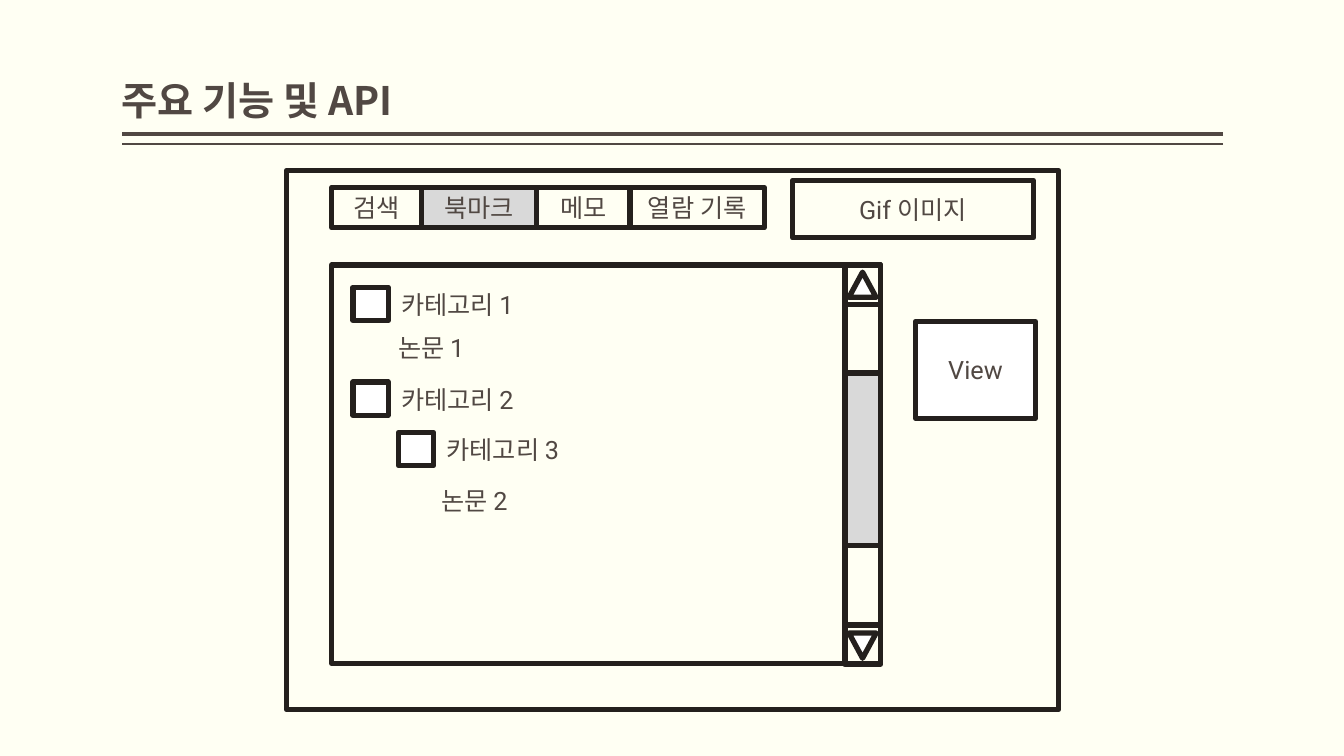
from dataclasses import dataclass
from typing import Optional

from lxml import etree
from pptx import Presentation
from pptx import util as u
from pptx.dml.color import RGBColor
from pptx.enum import shapes, text
from pptx.oxml import ns

CREAM = RGBColor(0xFF, 0xFF, 0xF3)
BROWN = RGBColor(0x51, 0x48, 0x43)
BLACK = RGBColor(0x24, 0x20, 0x1D)
GREY = RGBColor(0xD9, 0xD9, 0xD9)
WHITE = RGBColor(0xFF, 0xFF, 0xFF)

LATIN, HANGUL = "Roboto", "Noto Sans CJK KR"
RECT = shapes.MSO_SHAPE.RECTANGLE
ARROW = shapes.MSO_SHAPE.ISOSCELES_TRIANGLE


@dataclass
class Box:
    left: float
    top: float
    width: float
    height: float
    label: str = ""
    fill: Optional[RGBColor] = None
    kind: int = RECT
    turn: int = 0


@dataclass
class Tab:
    label: str
    width: float
    fill: Optional[RGBColor] = None


@dataclass
class Entry:
    label: str
    left: float
    top: float
    width: float
    boxed: bool = False


TABS = [Tab("검색", 0.89), Tab("북마크", 1.14, GREY),
        Tab("메모", 0.93), Tab("열람 기록", 1.33)]
TREE = [
    Entry("카테고리 1", 3.88, 2.82, 1.44, True),
    Entry("논문 1", 3.85, 3.25, 0.93),
    Entry("카테고리 2", 3.88, 3.76, 1.44, True),
    Entry("카테고리 3", 4.33, 4.26, 1.44, True),
    Entry("논문 2", 4.28, 4.77, 0.93),
]
FRAMES = [
    Box(2.84, 1.69, 7.66, 5.35),
    Box(7.86, 1.79, 2.39, 0.57, "Gif 이미지"),
    Box(3.29, 2.63, 5.44, 3.95),
    Box(9.08, 3.19, 1.19, 0.96, "View", WHITE),
]
SCROLL = [
    Box(8.38, 2.63, 0.35, 3.95),
    Box(8.38, 2.63, 0.35, 0.39),
    Box(8.38, 6.2, 0.35, 0.39),
    Box(8.42, 2.7, 0.27, 0.25, fill=WHITE, kind=ARROW),
    Box(8.42, 6.28, 0.27, 0.25, fill=WHITE, kind=ARROW, turn=180),
    Box(8.38, 3.7, 0.35, 1.71, fill=GREY),
]


def style(para, size: float, face: str, bold: bool = False) -> None:
    for run in para.runs:
        font = run.font
        font.size, font.name, font.bold = u.Pt(size), face, bold
        font.color.rgb = BROWN
        asian = etree.SubElement(run._r.get_or_add_rPr(), ns.qn("a:ea"))
        asian.set("typeface", HANGUL)


def draw_box(slide, box: Box) -> None:
    shape = slide.shapes.add_shape(
        box.kind, u.Inches(box.left), u.Inches(box.top),
        u.Inches(box.width), u.Inches(box.height))
    shape.shadow.inherit = False
    shape.rotation = box.turn
    shape.line.color.rgb = BLACK
    shape.line.width = u.Pt(3.78)
    if box.fill is None:
        shape.fill.background()
    else:
        shape.fill.solid()
        shape.fill.fore_color.rgb = box.fill
    if box.label:
        frame = shape.text_frame
        frame.text = box.label
        frame.vertical_anchor = text.MSO_ANCHOR.MIDDLE
        para = frame.paragraphs[0]
        para.alignment = text.PP_ALIGN.CENTER
        style(para, 18, LATIN)


def draw_tabs(slide) -> None:
    left = 3.29
    for tab in TABS:
        draw_box(slide, Box(left, 1.86, tab.width, 0.4, tab.label, tab.fill))
        left += tab.width


def draw_entry(slide, entry: Entry) -> None:
    """Draw one tree line, with its check box if it has one."""
    if entry.boxed:
        draw_box(slide, Box(entry.left - 0.38, entry.top + 0.03,
                            0.35, 0.33, fill=WHITE))
    note = slide.shapes.add_textbox(
        u.Inches(entry.left), u.Inches(entry.top),
        u.Inches(entry.width), u.Inches(0.4))
    frame = note.text_frame
    frame.text = entry.label
    frame.word_wrap = False
    frame.auto_size = text.MSO_AUTO_SIZE.SHAPE_TO_FIT_TEXT
    style(frame.paragraphs[0], 18, LATIN)


def draw_rule(slide, top: float, width: float) -> None:
    rule = slide.shapes.add_connector(
        shapes.MSO_CONNECTOR.STRAIGHT, u.Inches(12.13), u.Inches(top),
        u.Inches(1.21), u.Inches(top))
    rule.line.color.rgb = BROWN
    rule.line.width = u.Pt(width)
    etree.SubElement(rule._element.spPr, ns.qn("a:effectLst"))


def draw_title(slide, words: str) -> None:
    title = slide.shapes.add_textbox(
        u.Inches(1.21), u.Inches(0.08), u.Inches(10.92), u.Inches(1.2))
    frame = title.text_frame
    frame.text = words
    frame.word_wrap = True
    frame.vertical_anchor = text.MSO_ANCHOR.BOTTOM
    frame.margin_left = frame.margin_right = 0
    para = frame.paragraphs[0]
    para.line_spacing = 0.9
    style(para, 28, HANGUL, True)


def main() -> None:
    deck = Presentation()
    deck.slide_width, deck.slide_height = u.Inches(13.33), u.Inches(7.5)
    slide = deck.slides.add_slide(deck.slide_layouts[6])
    slide.background.fill.solid()
    slide.background.fill.fore_color.rgb = CREAM

    draw_rule(slide, 1.33, 3)
    draw_rule(slide, 1.43, 1)
    for box in FRAMES:
        draw_box(slide, box)
    draw_tabs(slide)
    for entry in TREE:
        draw_entry(slide, entry)
    for box in SCROLL:
        draw_box(slide, box)
    draw_title(slide, "주요 기능 및 API")
    deck.save("out.pptx")


if __name__ == "__main__":
    main()
